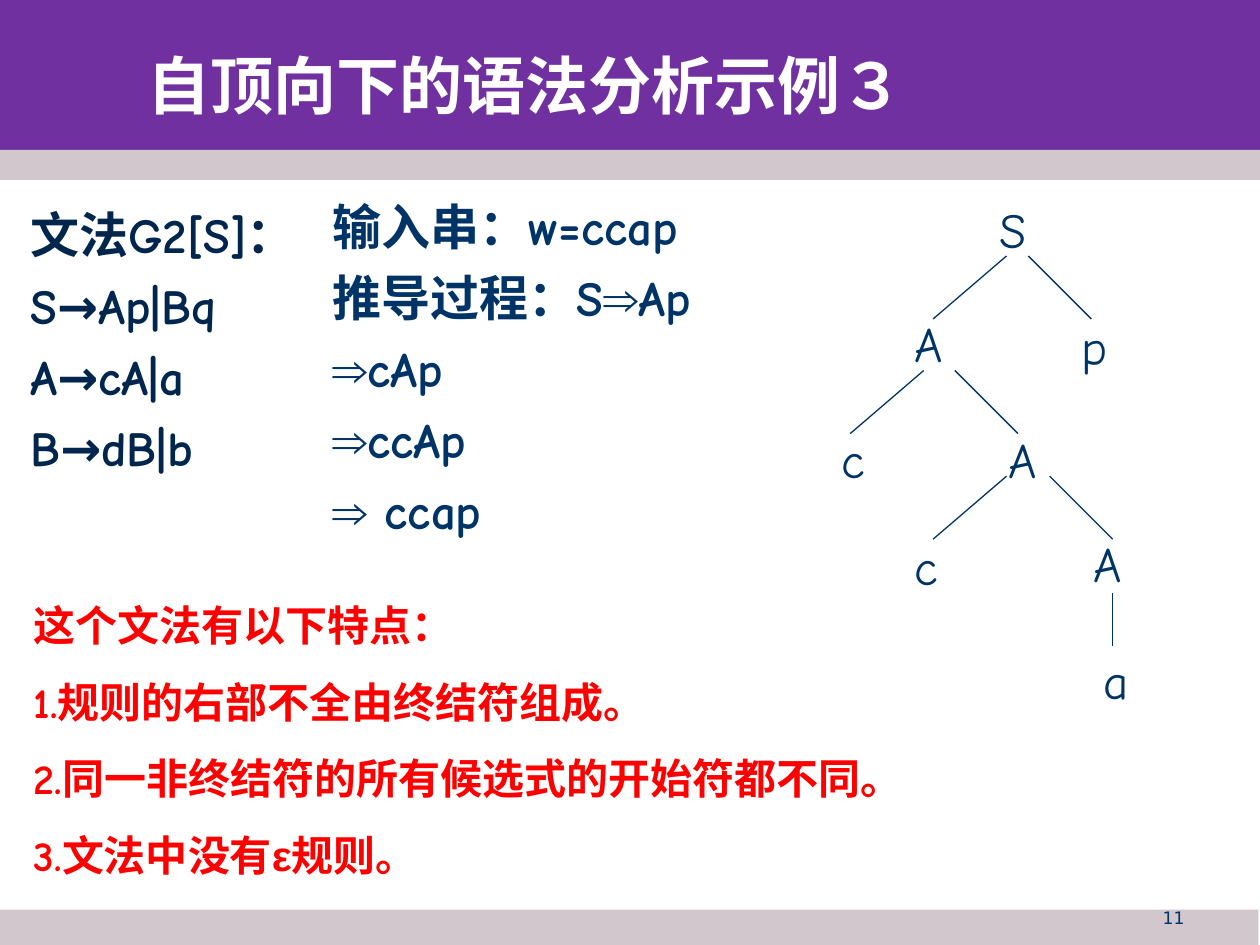
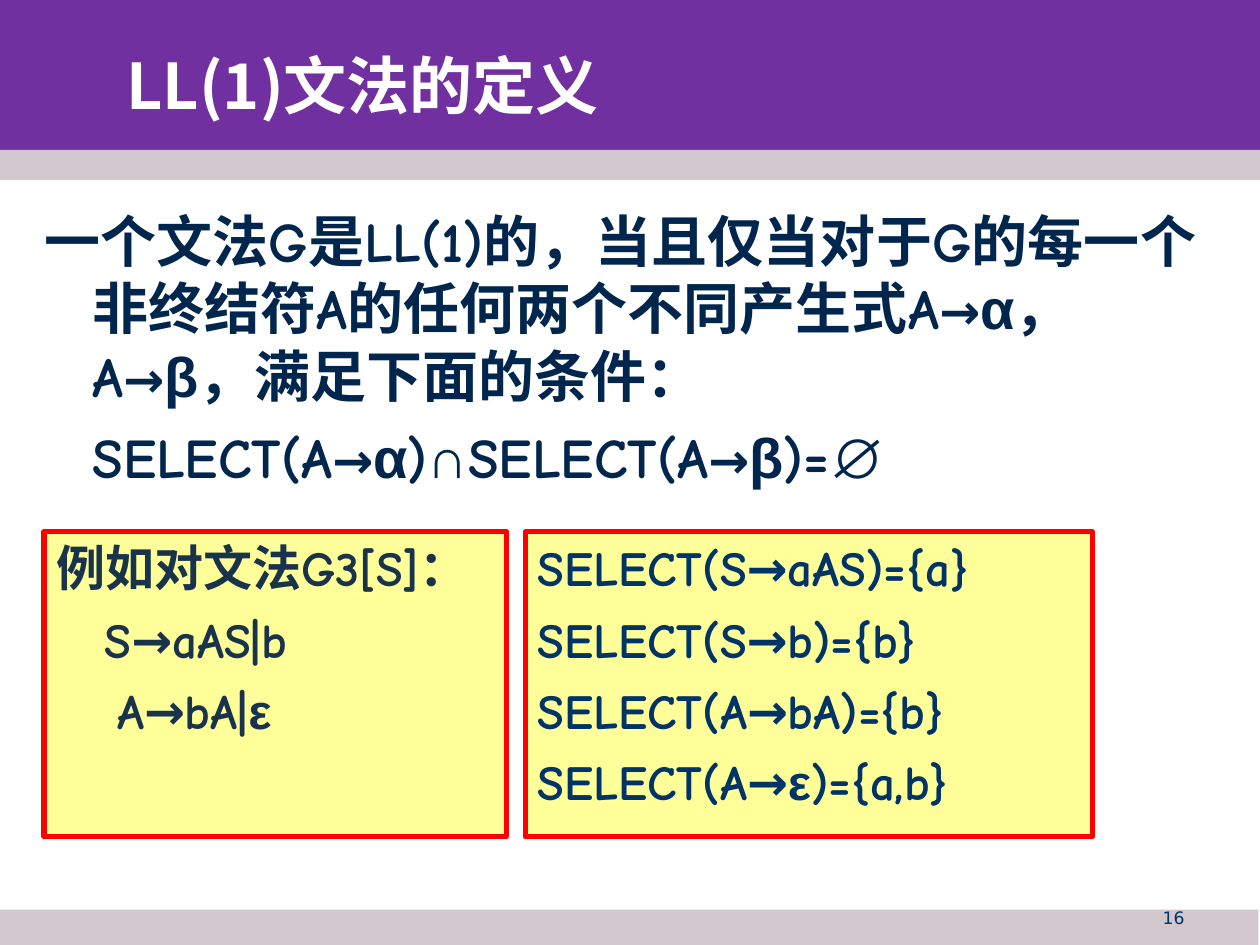
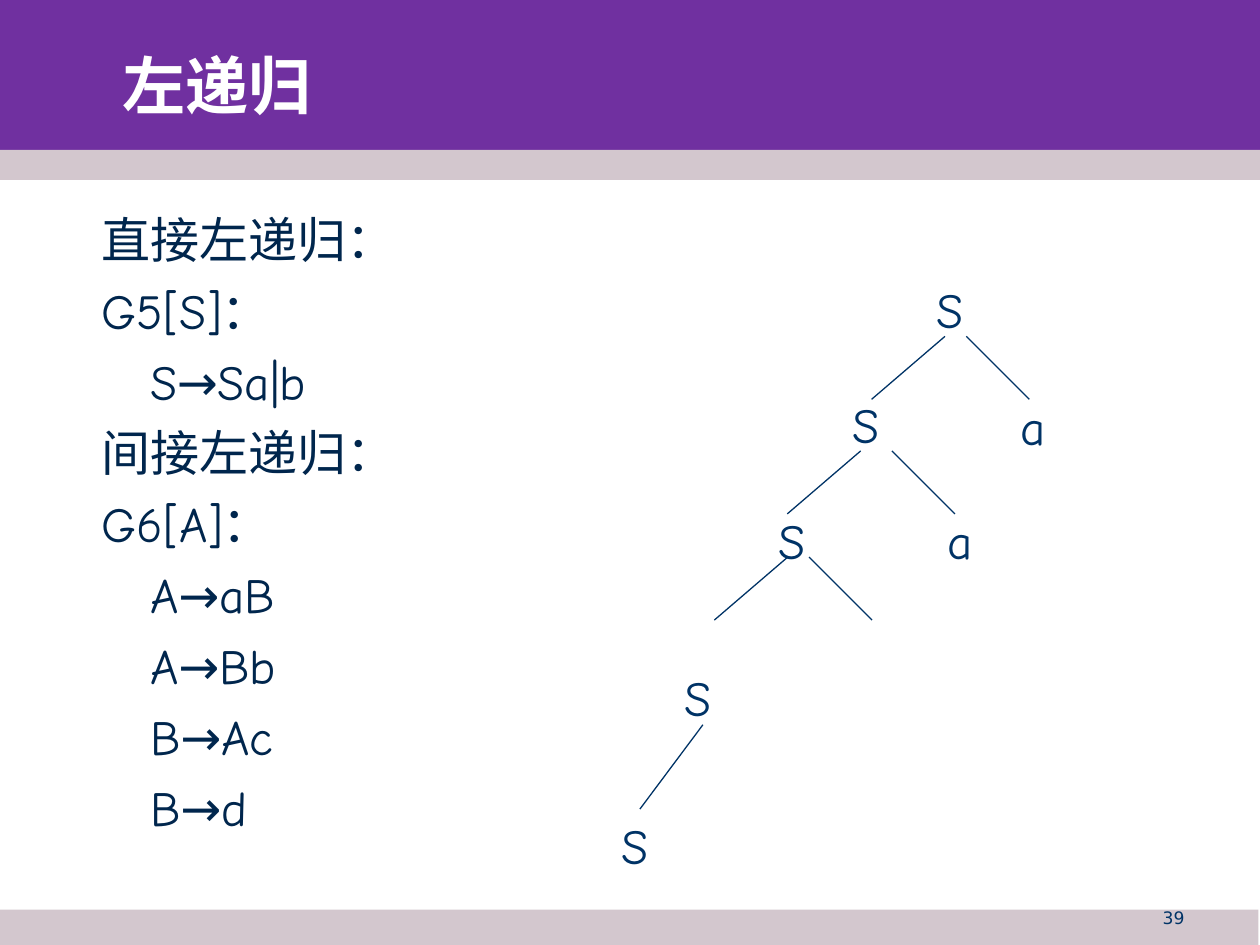
from dataclasses import dataclass
from itertools import groupby

from lxml import etree
from pptx import Presentation
from pptx import util as u
from pptx.dml.color import RGBColor
from pptx.enum import shapes, text
from pptx.oxml.ns import qn


@dataclass(frozen=True)
class Style:
    size: float
    color: str
    bold: bool = False
    font: str = "Comic Neue"
    before: float = 0
    spacing: float = 1.0


class Theme:
    purple, mist, paper, yellow = "7030A0", "D3C7CE", "FFFFFF", "FFFF99"
    ink, navy, slate, red = "003366", "00264D", "19334D", "FF0000"
    chinese, symbol_font = "Noto Sans CJK SC", "Arial"
    symbols = "⇒αβε∩∅"
    arrow_size = 28

    title = Style(36, paper, True, chinese)
    number = Style(9.8, ink, font="DejaVu Sans", spacing=0.8)
    grammar = Style(28, navy, True, before=7)
    definition = Style(32, navy, True, before=8)
    recursion = Style(28, navy, before=7)
    derivation = Style(28, ink, True, before=7)
    example = Style(28, slate, True, before=7)
    features = Style(24, red, True, before=15)
    node = Style(28, ink)


INDENT = 0.97  # cm, shared by hanging and indented lines


def rgb(value):
    return RGBColor.from_string(value)


def box(left, top, width, height):
    return [u.Cm(n) for n in (left, top, width, height)]


# Text
def indented(*lines, left=INDENT):
    return [(line, left, 0) for line in lines]


def char_kind(char):
    return "symbol" if char in Theme.symbols else "arrow" if char == "→" else "plain"


def add_runs(paragraph, line, style):
    for kind, chars in groupby(line, char_kind):
        run = paragraph.add_run()
        run.text = "".join(chars)
        if kind == "symbol":
            run.font.name = Theme.symbol_font
        elif kind == "arrow" and style.size != Theme.arrow_size:
            run.font.size = u.Pt(Theme.arrow_size)


def write(frame, lines, style, align=text.PP_ALIGN.LEFT, anchor=text.MSO_ANCHOR.TOP):
    """Fill a frame; a line is a string or (string, left margin, first indent)."""
    frame.word_wrap = True
    frame.auto_size = text.MSO_AUTO_SIZE.NONE
    frame.vertical_anchor = anchor
    for index, line in enumerate(lines):
        content, left, first = (line, 0, 0) if isinstance(line, str) else line
        paragraph = frame.add_paragraph() if index else frame.paragraphs[0]
        paragraph.alignment = align
        paragraph.line_spacing = style.spacing
        paragraph.space_before = u.Pt(style.before if index else 0)
        properties = paragraph._p.get_or_add_pPr()
        properties.set("marL", str(u.Cm(left)))
        properties.set("indent", str(u.Cm(first)))
        etree.SubElement(properties, qn("a:buNone"))
        font = paragraph.font
        font.size, font.bold, font.name = u.Pt(style.size), style.bold, style.font
        font.color.rgb = rgb(style.color)
        east_asian = etree.SubElement(properties.find(qn("a:defRPr")), qn("a:ea"))
        east_asian.set("typeface", Theme.chinese)
        add_runs(paragraph, content, style)


def fill_placeholder(placeholder, area, lines, style, **layout):
    placeholder.left, placeholder.top, placeholder.width, placeholder.height = box(*area)
    write(placeholder.text_frame, lines, style, **layout)


def add_text(slide, area, lines, style, **layout):
    write(slide.shapes.add_textbox(*box(*area)).text_frame, lines, style, **layout)


# Shapes
def add_panel(slide, area, fill, border=None):
    panel = slide.shapes.add_shape(shapes.MSO_SHAPE.RECTANGLE, *box(*area))
    panel.shadow.inherit = False
    panel.fill.solid()
    panel.fill.fore_color.rgb = rgb(fill)
    if border:
        panel.line.color.rgb = rgb(border)
        panel.line.width = u.Pt(3)
    else:
        panel.line.fill.background()
    return panel


def add_edge(slide, x1, y1, x2, y2):
    edge = slide.shapes.add_connector(
        shapes.MSO_CONNECTOR.STRAIGHT, *box(x1, y1, x2, y2))
    edge.line.color.rgb = rgb(Theme.ink)
    edge.line.width = u.Pt(0.75)
    etree.SubElement(edge._element.spPr, qn("a:effectLst"))


def add_tree(slide, nodes, branches, stem):
    """Nodes are (label, left, top); branches are (left x, right x, top)."""
    for left_x, right_x, top in branches:
        add_edge(slide, left_x, top, left_x - 1.48, top + 1.27)
        add_edge(slide, right_x, top, right_x + 1.27, top + 1.27)
    add_edge(slide, *stem)
    for label, left, top in nodes:
        add_text(slide, (left, top, 1.91, 1.45), [label], Theme.node)


# Shared slide parts
def add_master_bands(prs, slide):
    tree = prs.slide_master.shapes._spTree
    bands = [((0, 0, 25.4, 3.33), Theme.purple),
             ((0, 3.02, 25.4, 0.61), Theme.mist),
             ((0, 18.34, 25.37, 0.76), Theme.mist)]
    for position, (area, fill) in enumerate(bands, start=2):
        tree.insert(position, add_panel(slide, area, fill)._element)


def start_slide(prs, title, title_left, number):
    slide = prs.slides.add_slide(prs.slide_layouts[1])
    fill_placeholder(slide.shapes.title, (title_left, 0.64, 22.68, 2.11), [title],
                     Theme.title, anchor=text.MSO_ANCHOR.MIDDLE)
    add_text(slide, (18.21, 18.24, 5.92, 0.79), [number], Theme.number,
             align=text.PP_ALIGN.RIGHT)
    return slide


# Slides
def top_down_example(prs):
    slide = start_slide(prs, "自顶向下的语法分析示例３", 2.72, "11")
    fill_placeholder(slide.placeholders[1], (0.36, 3.99, 6.35, 7.62),
                     ["文法G2[S]：", "S→Ap|Bq", "A→cA|a", "B→dB|b"], Theme.grammar)
    add_text(slide, (6.45, 3.84, 9.96, 7.19),
             ["输入串：w=ccap", "推导过程：S⇒Ap", "⇒cAp", "⇒ccAp", "⇒ ccap"],
             Theme.derivation)
    add_tree(slide,
             nodes=[("S", 19.89, 3.89), ("A", 18.19, 6.2), ("p", 21.56, 6.25),
                    ("c", 16.71, 8.53), ("A", 20.09, 8.53), ("c", 18.19, 10.69),
                    ("A", 21.79, 10.64), ("a", 22, 12.98)],
             branches=[(20.29, 20.73, 5.16), (18.62, 19.25, 7.47), (20.29, 21.16, 9.6)],
             stem=(22.43, 11.96, 22.43, 13.03))
    add_text(slide, (0.43, 11.96, 21.16, 5.92),
             ["这个文法有以下特点：", "1.规则的右部不全由终结符组成。",
              "2.同一非终结符的所有候选式的开始符都不同。", "3.文法中没有ε规则。"],
             Theme.features)
    return slide


def ll1_definition(prs):
    slide = start_slide(prs, "LL(1)文法的定义", 2.29, "16")
    condition = ("一个文法G是LL(1)的，当且仅当对于G的每一个非终结符A的任何两个不同产生式"
                 "A→α，A→β，满足下面的条件：")
    fill_placeholder(slide.placeholders[1], (0.64, 4.04, 24.38, 6.35),
                     [(condition, INDENT, -INDENT),
                      *indented("SELECT(A→α)∩SELECT(A→β)=∅")], Theme.definition)
    grammar = ["例如对文法G3[S]：", *indented("S→aAS|b"), *indented("A→bA|ε", left=1.22)]
    select_sets = ["SELECT(S→aAS)={a}", "SELECT(S→b)={b}",
                   "SELECT(A→bA)={b}", "SELECT(A→ε)={a,b}"]
    for left, width, lines, style in [(0.89, 9.32, grammar, Theme.example),
                                      (10.59, 11.43, select_sets, Theme.derivation)]:
        panel = add_panel(slide, (left, 10.72, width, 6.15), Theme.yellow, Theme.red)
        write(panel.text_frame, lines, style)


def left_recursion(prs):
    slide = start_slide(prs, "左递归", 2.21, "39")
    fill_placeholder(slide.placeholders[1], (1.8, 4.09, 13.34, 13.13),
                     ["直接左递归：", "G5[S]：", *indented("S→Sa|b"),
                      "间接左递归：", "G6[A]：",
                      *indented("A→aB", "A→Bb", "B→Ac", "B→d")], Theme.recursion)
    add_tree(slide,
             nodes=[("S", 18.62, 5.51), ("S", 16.94, 7.82), ("a", 20.32, 7.87),
                    ("S", 15.44, 10.16), ("a", 18.85, 10.16), ("S", 13.54, 13.34),
                    ("S", 12.27, 16.31)],
             branches=[(19.05, 19.48, 6.78), (17.35, 17.98, 9.09), (15.88, 16.31, 11.23)],
             stem=(14.17, 14.61, 12.9, 16.31))


def main():
    prs = Presentation()
    prs.slide_width, prs.slide_height = u.Cm(25.4), u.Cm(19.05)
    first = top_down_example(prs)
    add_master_bands(prs, first)
    ll1_definition(prs)
    left_recursion(prs)
    prs.save("out.pptx")


if __name__ == "__main__":
    main()
